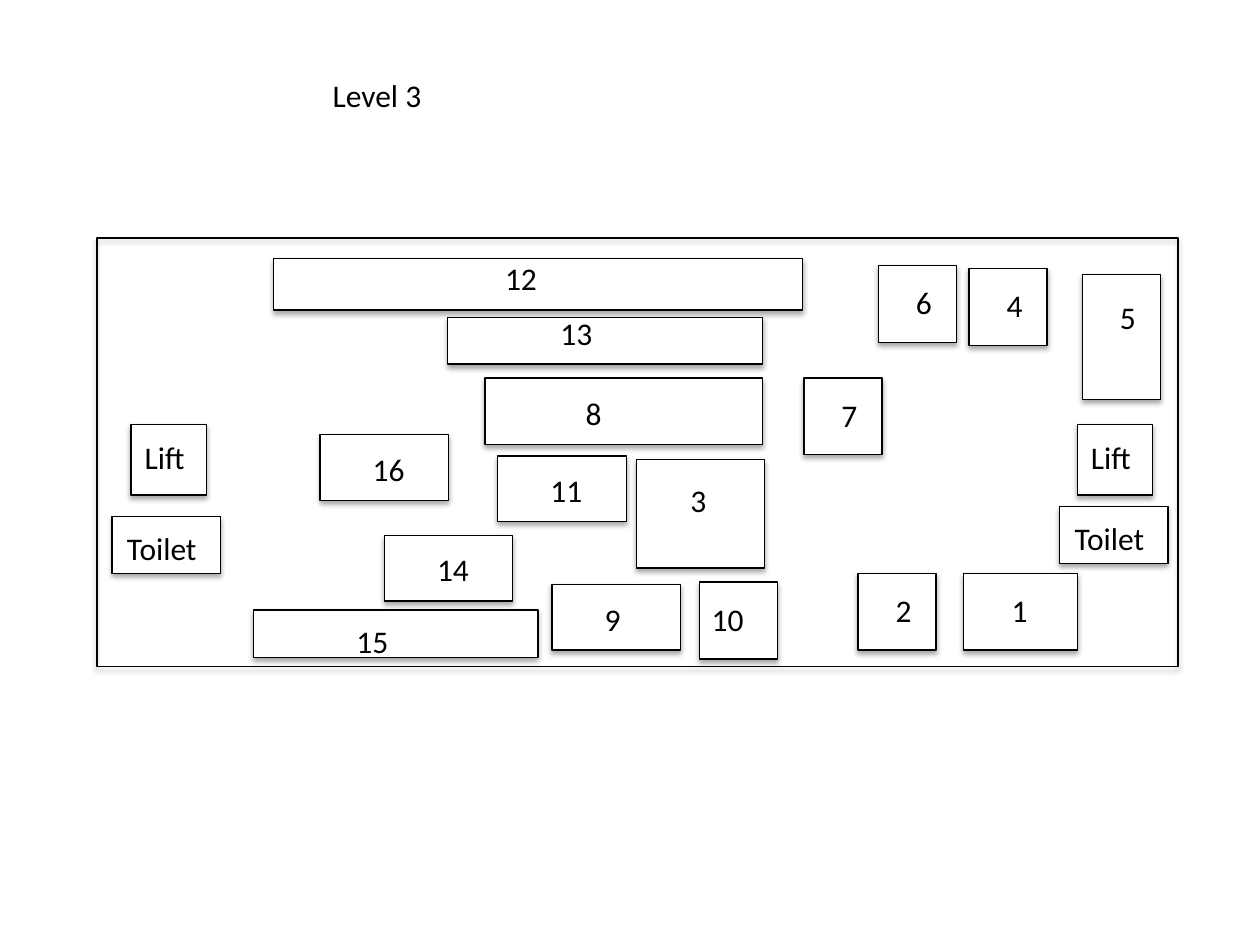
"""Build the floor plan of level 3 with its numbered rooms, lifts and toilets."""
from dataclasses import dataclass

from lxml.etree import SubElement
from pptx import Presentation
from pptx.dml.color import RGBColor
from pptx.enum.shapes import MSO_SHAPE as Preset
from pptx.enum.text import MSO_ANCHOR as Anchor, MSO_AUTO_SIZE as AutoSize, PP_ALIGN as Align
from pptx.oxml.ns import qn
from pptx.util import Inches, Pt


@dataclass(frozen=True)
class Theme:
    ink: RGBColor = RGBColor(0, 0, 0)
    paper: RGBColor = RGBColor(255, 255, 255)
    font: str = "Calibri"
    text_size: Pt = Pt(18)
    line_width: Pt = Pt(0.75)
    shadow_blur: Pt = Pt(3.1)
    shadow_distance: Pt = Pt(1.8)
    shadow_opacity: int = 35


THEME = Theme()
TITLE, TITLE_AREA = "Level 3", (2.54, 0.55, 4.27, 0.4)
FLOOR = (0.77, 1.89, 8.58, 3.4)

LIFT, TOILET = (0.6, 0.56), (0.86, 0.45)
SMALL, MEDIUM = (0.62, 0.61), (1.02, 0.52)
LIFT_LABEL, TOILET_LABEL = (0.01, 0.06, 0.7, 0.4), (0.02, 0.05, 0.84, 0.32)
SMALL_LABEL, MEDIUM_LABEL = (0.2, 0.09, 0.3, 0.4), (0.32, 0.07, 0.49, 0.4)

ROOMS = [
    ("Lift", (8.55, 3.37), LIFT, LIFT_LABEL),
    ("Lift", (1.04, 3.37), LIFT, LIFT_LABEL),
    ("Toilet", (0.89, 4.1), TOILET, TOILET_LABEL),
    ("Toilet", (8.41, 4.02), TOILET, TOILET_LABEL),
    ("1", (7.65, 4.55), (0.9, 0.61), (0.28, 0.09, 0.43, 0.4)),
    ("2", (6.81, 4.55), SMALL, SMALL_LABEL),
    ("3", (5.05, 3.65), (1.02, 0.86), (0.33, 0.12, 0.49, 0.57)),
    ("4", (7.69, 2.13), SMALL, SMALL_LABEL),
    ("5", (8.59, 2.18), (0.62, 0.99), (0.2, 0.14, 0.3, 0.4)),
    ("6", (6.97, 2.11), SMALL, SMALL_LABEL),
    ("7", (6.38, 3.0), SMALL, SMALL_LABEL),
    ("8", (3.85, 3.0), (2.2, 0.53), (0.7, 0.08, 1.05, 0.25)),
    ("9", (4.38, 4.64), MEDIUM, MEDIUM_LABEL),
    ("10", (5.55, 4.62), SMALL, (0, 0.09, 0.62, 0.4)),
    ("11", (3.95, 3.62), MEDIUM, MEDIUM_LABEL),
    ("12", (2.17, 2.05), (4.2, 0.41), (1.74, -0.04, 0.65, 0.48)),
    ("13", (3.55, 2.52), (2.5, 0.37), (0.8, -0.08, 1.2, 0.57)),
    ("14", (3.05, 4.25), MEDIUM, MEDIUM_LABEL),
    ("15", (2.01, 4.84), (2.26, 0.38), (0.72, 0.05, 1.08, 0.4)),
    ("16", (2.54, 3.45), MEDIUM, MEDIUM_LABEL),
]


def add_shadow(shape):
    shape.shadow.inherit = False
    effects = shape.element.spPr.find(qn("a:effectLst"))
    shadow = SubElement(effects, qn("a:outerShdw"), blurRad=str(THEME.shadow_blur),
                        dist=str(THEME.shadow_distance), dir="5400000", rotWithShape="0")
    color = SubElement(shadow, qn("a:srgbClr"), val=str(THEME.ink))
    SubElement(color, qn("a:alpha"), val=str(THEME.shadow_opacity * 1000))


def add_box(slide, area, filled=True):
    box = slide.shapes.add_shape(Preset.RECTANGLE, *map(Inches, area))
    if filled:
        box.fill.solid()
        box.fill.fore_color.rgb = THEME.paper
    else:
        box.fill.background()
    box.line.color.rgb = THEME.ink
    box.line.width = THEME.line_width
    add_shadow(box)


def write(shape, text, auto_size):
    frame = shape.text_frame
    frame.text = text
    frame.word_wrap = True
    frame.auto_size = auto_size
    frame.vertical_anchor = Anchor.TOP
    paragraph = frame.paragraphs[0]
    paragraph.alignment = Align.LEFT
    font = paragraph.runs[0].font
    font.name, font.size = THEME.font, THEME.text_size
    font.color.rgb = THEME.ink


def add_room(slide, label, corner, size, label_area):
    add_box(slide, corner + size)
    left, top, width, height = label_area
    area = (corner[0] + left, corner[1] + top, width, height)
    label_box = slide.shapes.add_textbox(*map(Inches, area))
    write(label_box, label, AutoSize.SHAPE_TO_FIT_TEXT)


presentation = Presentation()
presentation.slide_width, presentation.slide_height = Inches(10), Inches(7.5)
slide = presentation.slides.add_slide(presentation.slide_layouts[5])

title = slide.shapes.title
title.left, title.top, title.width, title.height = map(Inches, TITLE_AREA)
write(title, TITLE, AutoSize.NONE)

add_box(slide, FLOOR, filled=False)
for room in ROOMS:
    add_room(slide, *room)

presentation.save("out.pptx")
